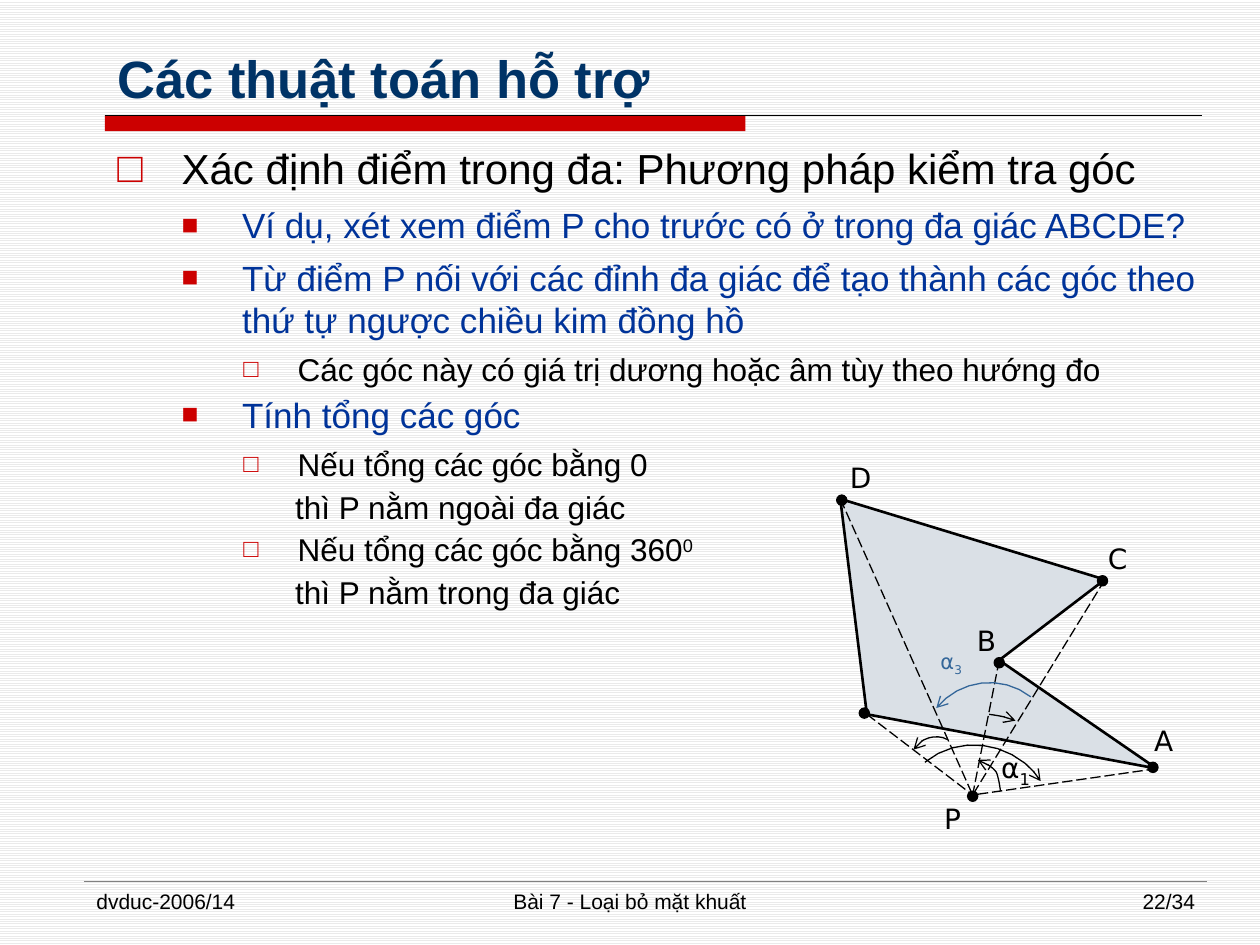
from lxml import etree
from pptx import Presentation
from pptx.dml.color import RGBColor
from pptx.enum.dml import MSO_LINE, MSO_PATTERN
from pptx.enum.shapes import MSO_CONNECTOR, MSO_SHAPE
from pptx.enum.text import MSO_ANCHOR, PP_ALIGN
from pptx.oxml.ns import qn
from pptx.util import Pt

LEFT, CENTER, RIGHT = PP_ALIGN.LEFT, PP_ALIGN.CENTER, PP_ALIGN.RIGHT
TOP, BOTTOM = MSO_ANCHOR.TOP, MSO_ANCHOR.BOTTOM
STRAIGHT, DASH = MSO_CONNECTOR.STRAIGHT, MSO_LINE.LONG_DASH
RECTANGLE, OVAL = MSO_SHAPE.RECTANGLE, MSO_SHAPE.OVAL

BLACK = RGBColor(0x00, 0x00, 0x00)
WHITE = RGBColor(0xFF, 0xFF, 0xFF)
STRIPE = RGBColor(0xEA, 0xEA, 0xEA)
GRAY = RGBColor(0x80, 0x80, 0x80)
RED = RGBColor(0xCC, 0x00, 0x00)
NAVY = RGBColor(0x00, 0x33, 0x66)
BLUE = RGBColor(0x00, 0x33, 0x99)
STEEL = RGBColor(0x33, 0x66, 0x99)
PALE = RGBColor(0xDA, 0xE0, 0xE6)
TEXT_FONT, LABEL_FONT = "Arial", "DejaVu Sans"

TITLE = "Các thuật toán hỗ trợ"
BODY = [
    ("topic", "Xác định điểm trong đa: Phương pháp kiểm tra góc", ""),
    ("point", "Ví dụ, xét xem điểm P cho trước có ở trong đa giác ABCDE?", ""),
    ("point", "Từ điểm P nối với các đỉnh đa giác để tạo thành các góc theo "
              "thứ tự ngược chiều kim đồng hồ", ""),
    ("detail", "Các góc này có giá trị dương hoặc âm tùy theo hướng đo", ""),
    ("point", "Tính tổng các góc", ""),
    ("detail", "Nếu tổng các góc bằng 0", ""),
    ("result", "thì P nằm ngoài đa giác", ""),
    ("detail", "Nếu tổng các góc bằng 360", "0"),
    ("result", "thì P nằm trong đa giác", ""),
]
# style: size, colour, margin, indent, space before, space after, bullet, bullet percent
STYLES = {
    "topic": (24, BLACK, 36.7, -36.7, 3, 3, "□", 100),
    "point": (20, BLUE, 71.3, -34.6, 3, 3, "■", 80),
    "detail": (18, BLACK, 103, -31, 2.7, 0, "□", 80),
    "result": (18, BLACK, 101.6, 0, 2.7, 0, None, 0),
}
FOOTER = [
    ("dvduc-2006/14", 48, 156, LEFT),
    ("Bài 7 - Loại bỏ mặt khuất", 246, 228, CENTER),
    ("22/34", 534, 156, RIGHT),
]
VIEWPOINT = (555.8, 454.3)
POLYGON = [(495.4, 408.2), (480.2, 285.1), (631.4, 331.2), (571, 377.3), (661, 439.2)]
DOTS = [(493.9, 407.5), (481, 285.8), (630, 331.9), (571, 378.7), (658.8, 438.5),
        (555.8, 455)]
DOT_SIZE = 5.8
LABELS = [
    ("P", "", 544.3, 454.3, 60.5, 16, BLACK),
    ("B", "", 563.8, 352.8, 60.5, 16, BLACK),
    ("C", "", 638.6, 306, 60.5, 16, BLACK),
    ("D", "", 491.8, 259.9, 60.5, 16, BLACK),
    ("A", "", 664.9, 409.7, 42.5, 16, BLACK),
    ("α", "1", 580.3, 425.5, 60.5, 16, BLACK),
    ("α", "3", 543.6, 367.2, 60.5, 12, STEEL),
]
ARCS = [
    (BLACK, [(571.7, 452.2), (571.7, 451.4), (570.2, 441.4), (568.8, 440.6),
             (566.6, 437.8), (562.3, 435.6), (558.7, 434.2)]),
    (BLACK, [(565.2, 408.2), (571, 409), (575.3, 409.7), (580.3, 411.8)]),
    (BLACK, [(528.5, 435.6), (547.9, 419.8), (576, 423.4), (592.6, 442.8),
             (593.3, 443.5), (594, 445), (594.7, 446.4)]),
    (BLACK, [(541.4, 422.6), (535, 419), (525.6, 421.9), (522, 428.4)]),
    (STEEL, [(589, 398.2), (572.4, 385.2), (548.6, 388.1), (535, 404.6)]),
]
CURVE_STEPS = 8


def add_box(page, left, top, width, height, anchor=TOP):
    frame = page.shapes.add_textbox(Pt(left), Pt(top), Pt(width), Pt(height)).text_frame
    frame.word_wrap = True
    frame.vertical_anchor = anchor
    return frame


def write(para, text, size, color, font=TEXT_FONT, align=LEFT, script="", baseline=0):
    para.text = text
    para.alignment = align
    if script:
        raised = para.add_run()
        raised.text = script
        raised._r.get_or_add_rPr().set("baseline", str(baseline * 1000))
    for span in para.runs:
        span.font.size = Pt(size)
        span.font.name = font
        span.font.color.rgb = color


def set_bullet(para, margin, indent, bullet, percent):
    props = para._p.get_or_add_pPr()
    props.set("marL", str(Pt(margin)))
    props.set("indent", str(Pt(indent)))
    if bullet is None:
        etree.SubElement(props, qn("a:buNone"))
        return
    color = etree.SubElement(props, qn("a:buClr"))
    etree.SubElement(color, qn("a:srgbClr"), val=str(RED))
    etree.SubElement(props, qn("a:buSzPct"), val=str(percent * 1000))
    etree.SubElement(props, qn("a:buFont"), typeface=TEXT_FONT)
    etree.SubElement(props, qn("a:buChar"), char=bullet)


def add_line(page, start, end, color, width, dash=None):
    line = page.shapes.add_connector(STRAIGHT, *(Pt(value) for value in start + end))
    line.line.color.rgb = color
    line.line.width = Pt(width)
    if dash:
        line.line.dash_style = dash
    etree.SubElement(line._element.spPr, qn("a:effectLst"))


def add_solid(page, kind, left, top, width, height, color):
    shape = page.shapes.add_shape(kind, Pt(left), Pt(top), Pt(width), Pt(height))
    shape.shadow.inherit = False
    shape.fill.solid()
    shape.fill.fore_color.rgb = color
    shape.line.fill.background()
    return shape


def add_outline(page, points, color, width, closed):
    corners = [(Pt(x), Pt(y)) for x, y in points]
    builder = page.shapes.build_freeform(*corners[0])
    builder.add_line_segments(corners[1:], close=closed)
    shape = builder.convert_to_shape()
    shape.shadow.inherit = False
    shape.line.color.rgb = color
    shape.line.width = Pt(width)
    return shape


def curve_points(controls):
    points = [controls[0]]
    for first in range(0, len(controls) - 1, 3):
        a, b, c, d = controls[first:first + 4]
        for step in range(1, CURVE_STEPS + 1):
            t = step / CURVE_STEPS
            s = 1 - t
            weights = (s ** 3, 3 * s * s * t, 3 * s * t * t, t ** 3)
            points.append(tuple(sum(w * v for w, v in zip(weights, axis))
                                for axis in zip(a, b, c, d)))
    return points


def add_diagram(page):
    polygon = add_outline(page, POLYGON, BLACK, 1.5, True)
    polygon.fill.solid()
    polygon.fill.fore_color.rgb = PALE
    for vertex in POLYGON:
        add_line(page, vertex, VIEWPOINT, BLACK, 0.75, DASH)
    for color, controls in ARCS:
        arc = add_outline(page, curve_points(controls), color, 0.75, False)
        arc.fill.background()
        etree.SubElement(arc.line._get_or_add_ln(), qn("a:tailEnd"), type="arrow")
    for x, y in DOTS:
        dot = add_solid(page, OVAL, x - DOT_SIZE / 2, y - DOT_SIZE / 2,
                        DOT_SIZE, DOT_SIZE, BLACK)
        dot.line.color.rgb = BLACK
        dot.line.width = Pt(0.75)
    for text, script, center, top, width, size, color in LABELS:
        frame = add_box(page, center - width / 2, top, width, 31)
        write(frame.paragraphs[0], text, size, color, LABEL_FONT, CENTER, script, -25)


def main():
    deck = Presentation()
    deck.slide_width, deck.slide_height = Pt(720), Pt(540)
    page = deck.slides.add_slide(deck.slide_layouts[6])
    backdrop = page.background.fill
    backdrop.patterned()
    backdrop.pattern = MSO_PATTERN.LIGHT_HORIZONTAL
    backdrop.fore_color.rgb = STRIPE
    backdrop.back_color.rgb = WHITE

    add_solid(page, RECTANGLE, 60, 66, 366, 9, RED)
    add_line(page, (60, 66), (687, 66), BLACK, 0.5)
    add_line(page, (48, 503.5), (690, 503.5), GRAY, 0.25)

    title = add_box(page, 60, 12, 648, 54, BOTTOM).paragraphs[0]
    write(title, TITLE, 30, NAVY)
    title.runs[0].font.bold = True

    body = add_box(page, 60, 78, 648, 420)
    for index, (style, text, script) in enumerate(BODY):
        size, color, margin, indent, before, after, bullet, percent = STYLES[style]
        para = body.add_paragraph() if index else body.paragraphs[0]
        write(para, text, size, color, script=script, baseline=30)
        para.space_before, para.space_after = Pt(before), Pt(after)
        set_bullet(para, margin, indent, bullet, percent)

    add_diagram(page)
    for text, left, width, align in FOOTER:
        write(add_box(page, left, 504, width, 25).paragraphs[0], text, 12, BLACK, align=align)
    deck.save("out.pptx")


if __name__ == "__main__":
    main()
